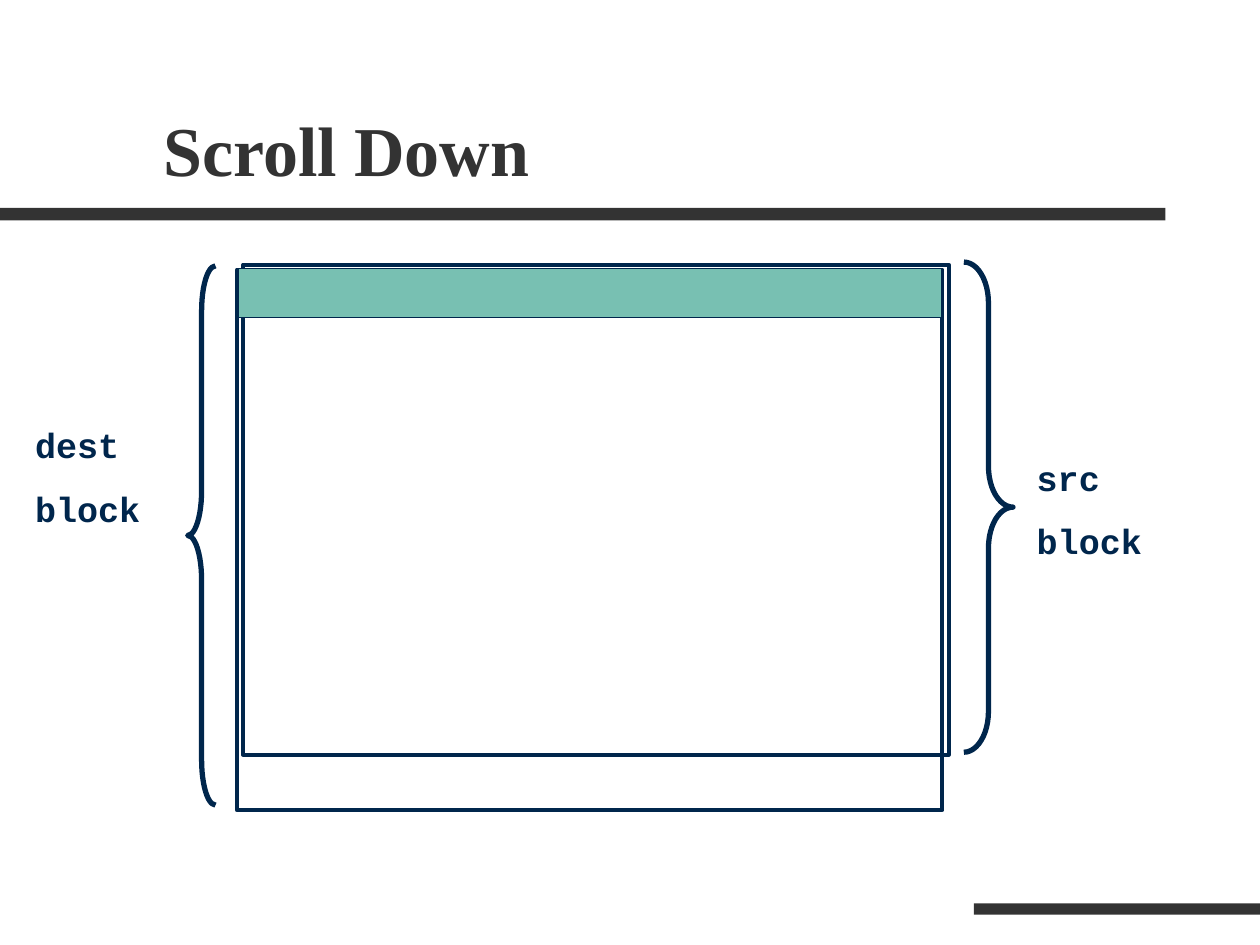
import pptx
import pptx.util
import pptx.dml.color
import pptx.enum.shapes
import pptx.enum.text

Inches, Pt = pptx.util.Inches, pptx.util.Pt
SHAPE = pptx.enum.shapes.MSO_SHAPE
ANCHOR = pptx.enum.text.MSO_ANCHOR
GRAY, NAVY, TEAL = "333333", "00264C", "78C0B2"

# Content: boxes are left, top, width, height in inches
TITLE = ("Scroll Down", (1.2, 0.31, 8.5, 1.25))
RULES = [(0, 1.65, 9.25, 0.1), (7.73, 7.17, 2.27, 0.09)]
SRC_BLOCK = (1.93, 2.1, 5.6, 3.89)
DEST_BLOCK = (1.88, 2.14, 5.6, 4.29)
SCROLLED_LINE = (1.89, 2.13, 5.58, 0.39)
BRACES = [
    (SHAPE.LEFT_BRACE, (1.49, 2.11, 0.22, 4.28)),
    (SHAPE.RIGHT_BRACE, (7.65, 2.08, 0.39, 3.89)),
]
LABELS = [
    (["dest", "block"], (0.18, 3.31, 1.14, 0.94)),
    (["src", "block"], (8.13, 3.57, 1.14, 0.94)),
]


def color(value):
    return pptx.dml.color.RGBColor.from_string(value)


def add_shape(slide, kind, box, fill=None, line=None, width=0):
    shape = slide.shapes.add_shape(kind, *map(Inches, box))
    shape.shadow.inherit = False
    if fill:
        shape.fill.solid()
        shape.fill.fore_color.rgb = color(fill)
    else:
        shape.fill.background()
    if line:
        shape.line.color.rgb = color(line)
        shape.line.width = Pt(width)
    else:
        shape.line.fill.background()
    return shape


def add_text(slide, lines, box, font, size, ink, anchor=ANCHOR.TOP, gap=0):
    frame = slide.shapes.add_textbox(*map(Inches, box)).text_frame
    frame.word_wrap = True
    frame.vertical_anchor = anchor
    frame.text = "\n".join(lines)
    for index, paragraph in enumerate(frame.paragraphs):
        if index:
            paragraph.space_before = Pt(gap)
        paragraph.font.name = font
        paragraph.font.size = Pt(size)
        paragraph.font.bold = True
        paragraph.font.color.rgb = color(ink)


def main():
    deck = pptx.Presentation()
    deck.slide_width, deck.slide_height = Inches(10), Inches(7.5)
    slide = deck.slides.add_slide(deck.slide_layouts[6])

    # Rules and title
    for box in RULES:
        add_shape(slide, SHAPE.RECTANGLE, box, fill=GRAY)
    title, title_box = TITLE
    add_text(slide, [title], title_box, "Times New Roman", 40, GRAY, ANCHOR.BOTTOM)

    # Source and destination blocks
    for box in (SRC_BLOCK, DEST_BLOCK):
        add_shape(slide, SHAPE.RECTANGLE, box, line=NAVY, width=2.25)

    # Braces: each curve takes a twelfth of the height
    for kind, box in BRACES:
        brace = add_shape(slide, kind, box, line=NAVY, width=3)
        brace.adjustments[0] = box[3] / 12 / box[2]

    # Block labels
    for lines, box in LABELS:
        add_text(slide, lines, box, "Courier New", 20, NAVY, gap=12.5)

    # Line scrolled into view
    add_shape(slide, SHAPE.RECTANGLE, SCROLLED_LINE, TEAL, NAVY, 0.75)

    deck.save("out.pptx")


if __name__ == "__main__":
    main()
